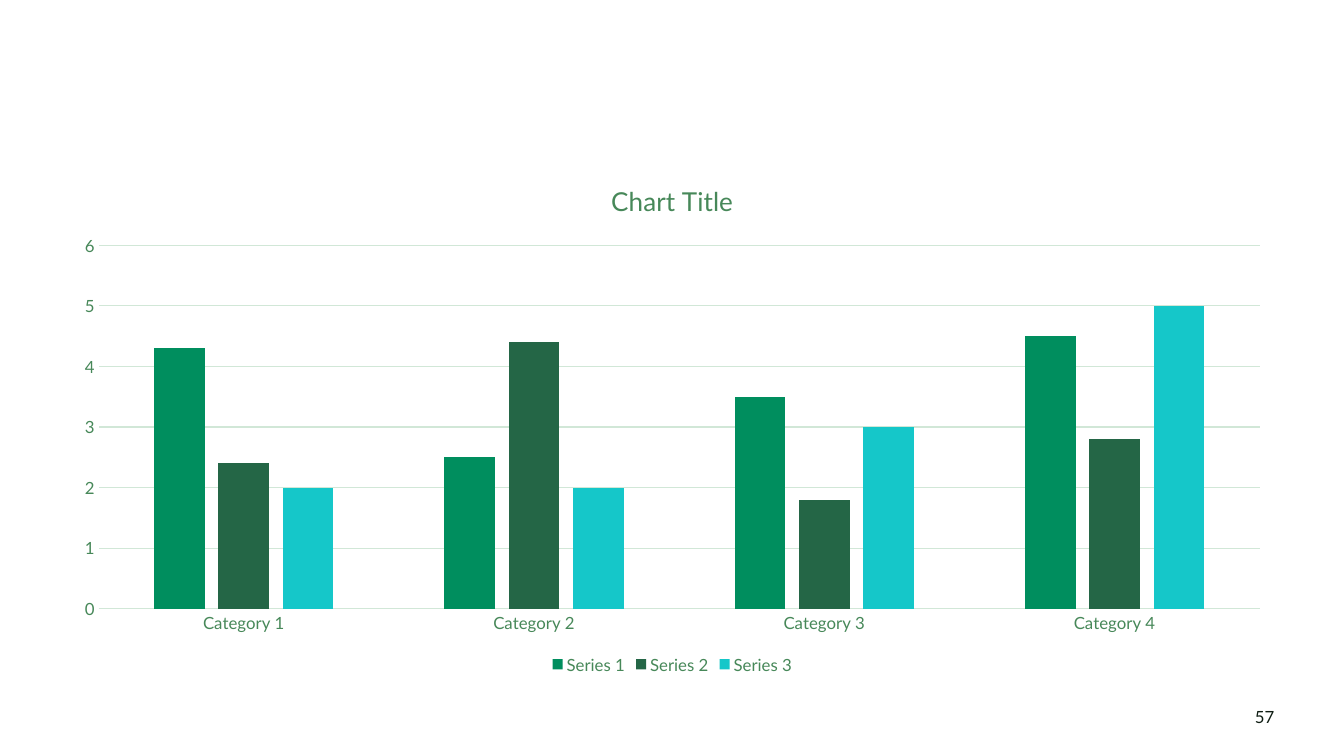
from pptx import Presentation
from pptx.chart.data import CategoryChartData
from pptx.dml.color import RGBColor
from pptx.enum.chart import XL_CHART_TYPE as ChartType, XL_LEGEND_POSITION as LegendPosition
from pptx.enum.chart import XL_TICK_MARK as TickMark
from pptx.enum.text import MSO_ANCHOR as Anchor, PP_ALIGN as Align
from pptx.util import Pt

COLORS = {
    "ink": "0F1D13",
    "label": "478859",
    "grid": "D1E7D7",
    "Series 1": "008E5E",
    "Series 2": "246646",
    "Series 3": "15C7C9",
}
CATEGORIES = [f"Category {number}" for number in range(1, 5)]
SERIES = {
    "Series 1": (4.3, 2.5, 3.5, 4.5),
    "Series 2": (2.4, 4.4, 1.8, 2.8),
    "Series 3": (2, 2, 3, 5),
}


class SlideBuilder:
    """Holds the style and the current slide, and adds elements to it."""

    def __init__(self, slide, font_name="Lato"):
        self.slide = slide
        self.font_name = font_name

    def set_format(self, target, **values):
        for name, value in values.items():
            setattr(target, name, value)

    def style_font(self, font, size, color):
        self.set_format(font, name=self.font_name, size=Pt(size), bold=False)
        font.color.rgb = RGBColor.from_string(COLORS[color])

    def style_line(self, line):
        line.color.rgb = RGBColor.from_string(COLORS["grid"])
        line.width = Pt(0.75)

    def add_page_number(self, text, left, top, width, height):
        shape = self.slide.shapes.add_textbox(Pt(left), Pt(top), Pt(width), Pt(height))
        self.set_format(shape.text_frame, word_wrap=True, vertical_anchor=Anchor.MIDDLE)
        paragraph = shape.text_frame.paragraphs[0]
        paragraph.alignment = Align.RIGHT
        run = paragraph.add_run()
        run.text = text
        self.style_font(run.font, 12, "ink")

    def add_column_chart(self, title, categories, series, left, top, width, height):
        data = CategoryChartData()
        data.categories = categories
        for name, values in series.items():
            data.add_series(name, values)
        chart = self.slide.shapes.add_chart(
            ChartType.COLUMN_CLUSTERED, Pt(left), Pt(top), Pt(width), Pt(height), data
        ).chart
        self.style_font(chart.font, 10, "ink")
        self.style_title(chart, title)
        self.style_axes(chart)
        self.style_columns(chart.plots[0])
        chart.has_legend = True
        self.set_format(chart.legend, position=LegendPosition.BOTTOM, include_in_layout=False)
        self.style_font(chart.legend.font, 12, "label")

    def style_title(self, chart, title):
        chart.has_title = True
        chart.chart_title.include_in_layout = False
        run = chart.chart_title.text_frame.paragraphs[0].add_run()
        run.text = title
        self.style_font(run.font, 18.6, "label")

    def style_axes(self, chart):
        for axis in (chart.category_axis, chart.value_axis):
            self.set_format(axis, major_tick_mark=TickMark.NONE, minor_tick_mark=TickMark.NONE)
            self.style_font(axis.tick_labels.font, 12, "label")
        self.style_line(chart.category_axis.format.line)
        self.set_format(
            chart.value_axis, minimum_scale=0, maximum_scale=6, major_unit=1, has_major_gridlines=True
        )
        self.style_line(chart.value_axis.major_gridlines.format.line)
        chart.value_axis.format.line.fill.background()

    def style_columns(self, plot):
        self.set_format(plot, gap_width=219, overlap=-27, vary_by_categories=False)
        for series in plot.series:
            series.invert_if_negative = False
            series.format.fill.solid()
            series.format.fill.fore_color.rgb = RGBColor.from_string(COLORS[series.name])


def main():
    presentation = Presentation()
    presentation.slide_width, presentation.slide_height = Pt(960), Pt(540)
    blank_layout = presentation.slide_layouts[6]
    builder = SlideBuilder(presentation.slides.add_slide(blank_layout))
    builder.add_page_number("57", 881.3, 497.5, 36, 28.8)
    builder.add_column_chart("Chart Title", CATEGORIES, SERIES, 43.2, 115.9, 874.1, 368.6)
    presentation.save("out.pptx")


if __name__ == "__main__":
    main()
